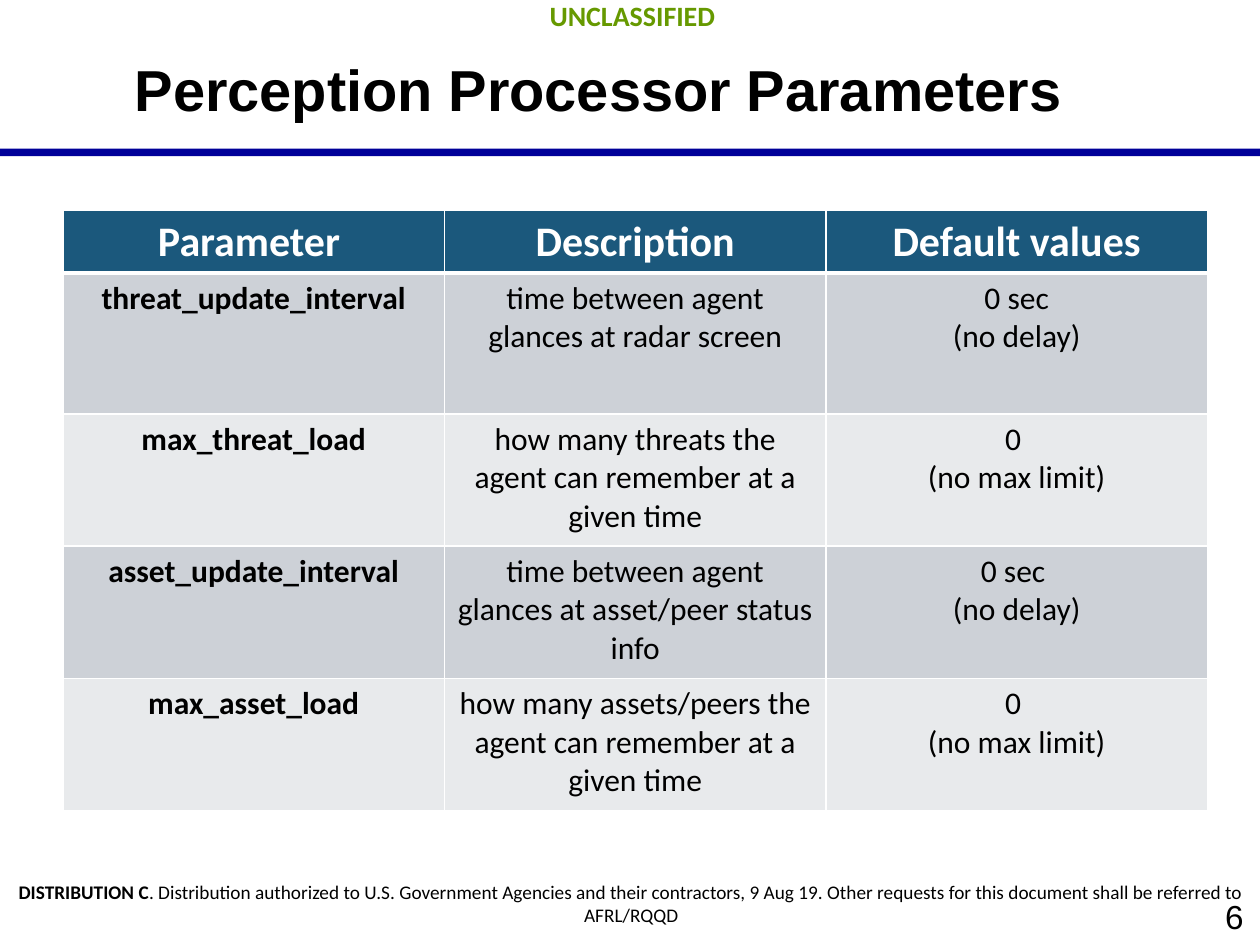
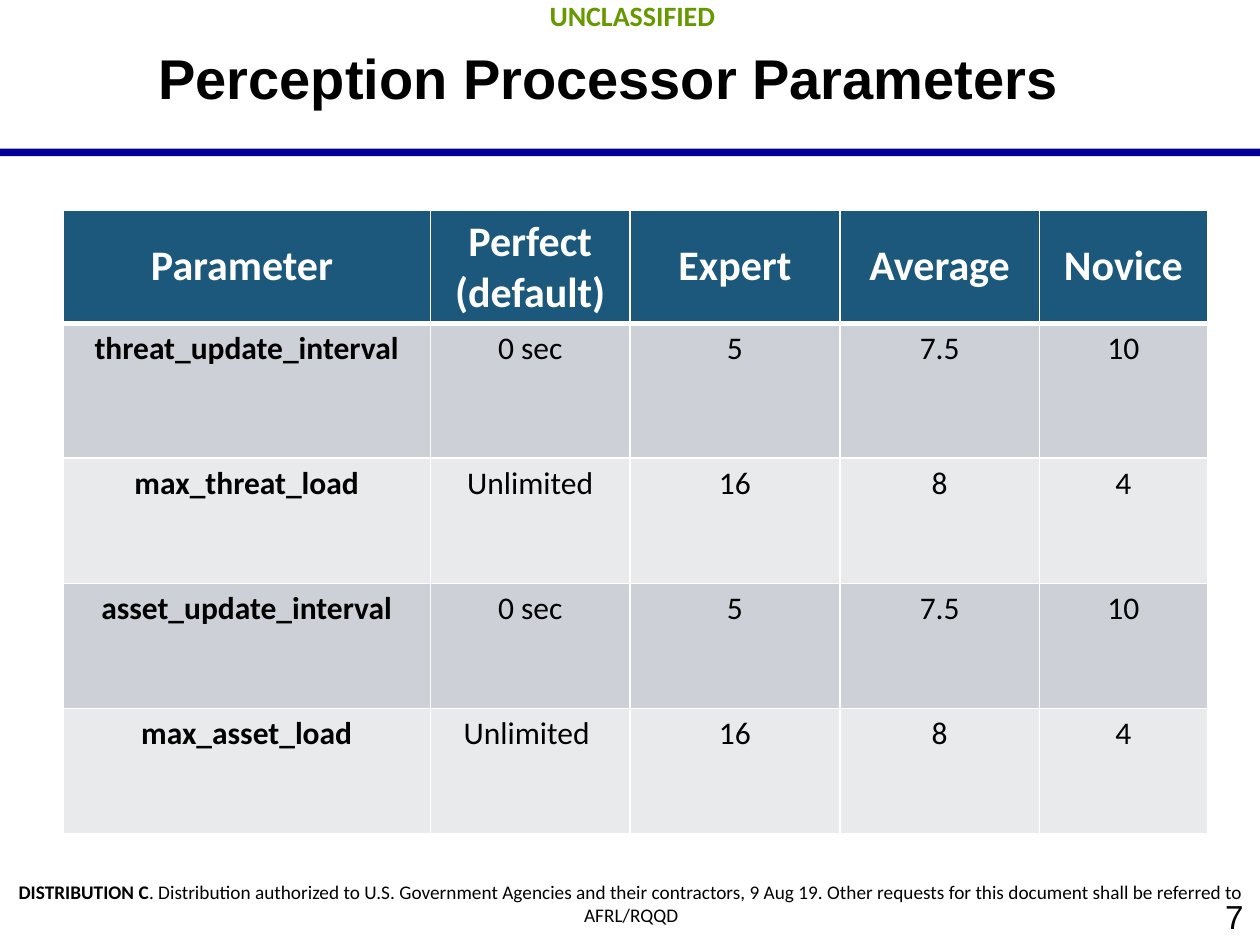
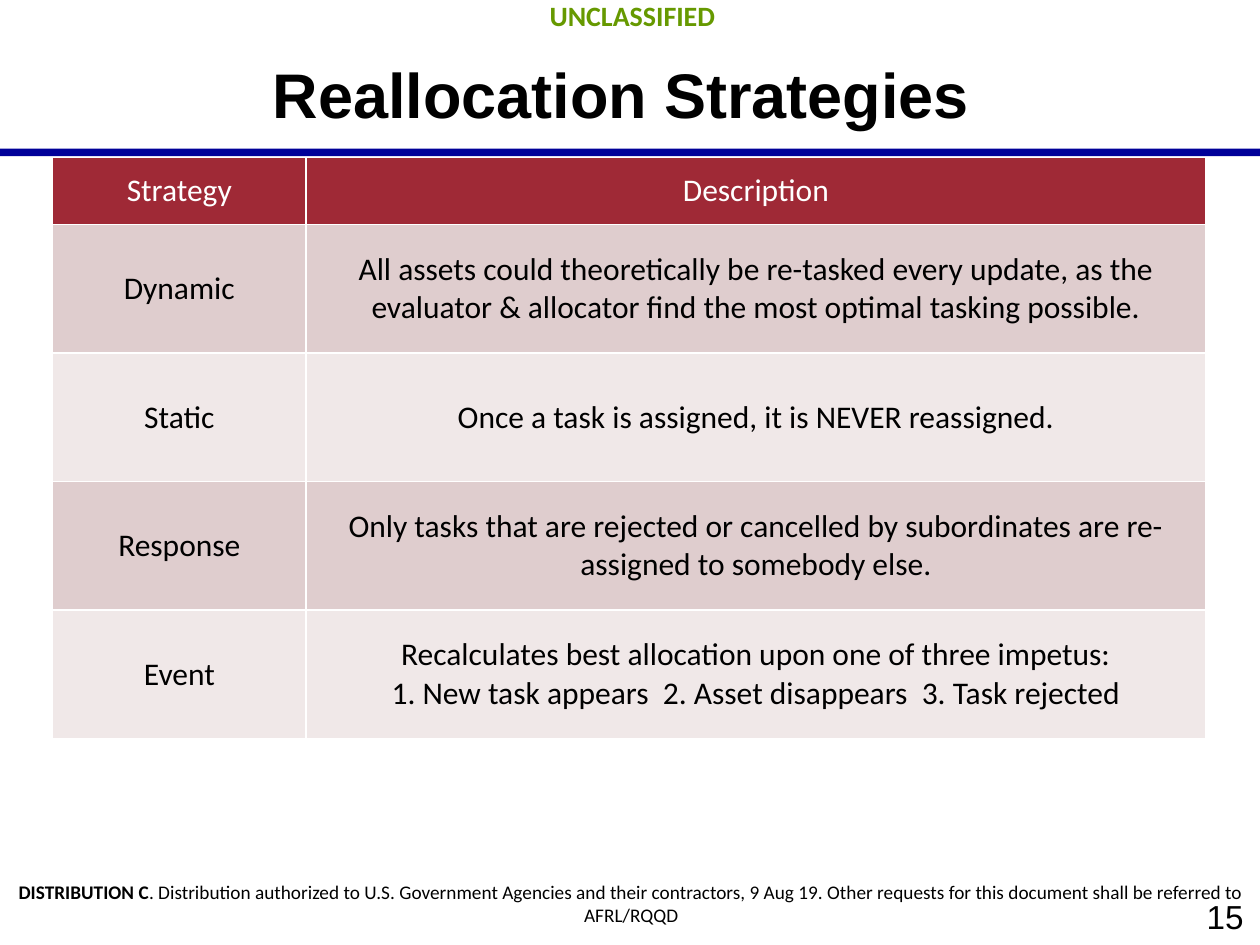
from lxml.etree import SubElement
from pptx import Presentation
from pptx.dml.color import RGBColor
from pptx.enum.shapes import MSO_SHAPE
from pptx.enum.text import MSO_ANCHOR, PP_ALIGN
from pptx.oxml.ns import qn
from pptx.util import Pt

WIDTH, HEIGHT = 720, 540
COLORS = {
    "text": "000000",
    "white": "FFFFFF",
    "bar": "000099",
    "marking": "669900",
    "blue": "1B587C",
    "blue_dark": "CDD1D7",
    "blue_light": "E8EAEC",
    "red": "9F2936",
    "red_dark": "DFCDCE",
    "red_light": "F0E8E8",
}
MARKING = "UNCLASSIFIED"
STATEMENT_LEAD = "DISTRIBUTION C"
STATEMENT = (
    ". Distribution authorized to U.S. Government Agencies and their contractors, "
    "9 Aug 19. Other requests for this document shall be referred to AFRL/RQQD"
)
PARAMETER_TITLE = "Perception Processor Parameters"
PARAMETER_BOX = (36, 120)
PARAMETER_STYLE = dict(theme="blue", header_size=24, bold_labels=True, body_anchor=MSO_ANCHOR.TOP)


def rgb(name):
    return RGBColor.from_string(COLORS[name])


def write_text(frame, text, lead="", font="Calibri", size=18, color="text",
               bold=False, align=PP_ALIGN.CENTER):
    """Write one paragraph per line; a lead goes first, in bold."""
    for index, line in enumerate(text.split("\n")):
        paragraph = frame.add_paragraph() if index else frame.paragraphs[0]
        paragraph.alignment = align
        parts = [(line, bold)]
        if lead and index == 0:
            parts.insert(0, (lead, True))
        for part, is_bold in parts:
            run = paragraph.add_run()
            run.text = part
            run.font.name = font
            run.font.size = Pt(size)
            run.font.bold = is_bold
            run.font.color.rgb = rgb(color)


def add_text(slide, box, text, anchor=MSO_ANCHOR.TOP, top_margin=5, **text_format):
    frame = slide.shapes.add_textbox(*map(Pt, box)).text_frame
    frame.word_wrap = True
    frame.vertical_anchor = anchor
    frame.margin_left = frame.margin_right = Pt(9.4)
    frame.margin_top, frame.margin_bottom = Pt(top_margin), Pt(5)
    write_text(frame, text, **text_format)


def add_bar(slide, box):
    bar = slide.shapes.add_shape(MSO_SHAPE.RECTANGLE, *map(Pt, box))
    bar.shadow.inherit = False
    bar.fill.solid()
    bar.fill.fore_color.rgb = rgb("bar")
    bar.line.fill.background()


def add_base_slide(presentation, number, title, title_box, title_size):
    """Add a slide with its markings, bar, number and title."""
    slide = presentation.slides.add_slide(presentation.slide_layouts[6])
    add_bar(slide, (0, 85, WIDTH, 4.3))
    add_text(slide, (576, 507.6, 144, 32.4), str(number), anchor=MSO_ANCHOR.MIDDLE,
             font="Arial", size=19, align=PP_ALIGN.RIGHT)
    add_text(slide, (1.4, -5.8, WIDTH, 29), MARKING, size=16, color="marking", bold=True)
    add_text(slide, (0, 498.2, 721.4, 36), STATEMENT, lead=STATEMENT_LEAD, size=11)
    add_text(slide, (*title_box, 648, 42.5), title, top_margin=7,
             font="Arial", size=title_size, bold=True)
    return slide


def set_borders(cell, top=1, bottom=1):
    properties = cell._tc.get_or_add_tcPr()
    for side, width in (("L", 1), ("R", 1), ("T", top), ("B", bottom)):
        line = SubElement(properties, qn(f"a:ln{side}"), w=str(Pt(width)))
        fill = SubElement(line, qn("a:solidFill"))
        SubElement(fill, qn("a:srgbClr"), val=COLORS["white"])


def add_banded_table(slide, position, widths, heights, rows, theme, header_size,
                     bold_labels, body_anchor, header_line=3):
    """Add a table with a header in the theme colour and alternating rows below."""
    table = slide.shapes.add_table(
        len(rows), len(widths), *map(Pt, (*position, sum(widths), sum(heights)))).table
    for column, width in zip(table.columns, widths):
        column.width = Pt(width)
    for row_index, (row, height, texts) in enumerate(zip(table.rows, heights, rows)):
        row.height = Pt(height)
        is_header = row_index == 0
        shade = theme if is_header else f"{theme}_{'dark' if row_index % 2 else 'light'}"
        for column_index, (cell, text) in enumerate(zip(row.cells, texts)):
            set_borders(cell, top=header_line if row_index == 1 else 1,
                        bottom=header_line if is_header else 1)
            cell.fill.solid()
            cell.fill.fore_color.rgb = rgb(shade)
            cell.vertical_anchor = MSO_ANCHOR.MIDDLE if is_header else body_anchor
            write_text(cell.text_frame, text,
                       size=header_size if is_header else 18,
                       color="white" if is_header else "text",
                       bold=bold_labels and (is_header or column_index == 0))


def add_defaults_slide(presentation):
    slide = add_base_slide(presentation, 6, PARAMETER_TITLE, (18, 23.8), 33)
    rows = [
        ("Parameter ", "Description", "Default values"),
        ("threat_update_interval", "time between agent glances at radar screen",
         "0 sec\n(no delay)"),
        ("max_threat_load", "how many threats the agent can remember at a given time",
         "0 \n(no max limit)"),
        ("asset_update_interval", "time between agent glances at asset/peer status info",
         "0 sec \n(no delay)"),
        ("max_asset_load", "how many assets/peers the agent can remember at a given time",
         "0 \n(no max limit)"),
    ]
    add_banded_table(slide, PARAMETER_BOX, [218] * 3, [32.4, 80.6] + [75.5] * 3, rows,
                     **PARAMETER_STYLE)


def add_skill_levels_slide(presentation):
    slide = add_base_slide(presentation, 7, PARAMETER_TITLE, (23.8, 18), 32)
    rows = [
        ("Parameter ", "Perfect\n(default)", "Expert", "Average", "Novice"),
        ("threat_update_interval", "0 sec", "5", "7.5", "10"),
        ("max_threat_load", "Unlimited", "16", "8", "4"),
        ("asset_update_interval", "0 sec", "5", "7.5", "10"),
        ("max_asset_load", "Unlimited ", "16", "8", "4"),
    ]
    add_banded_table(slide, PARAMETER_BOX, [210, 114, 120, 114, 96],
                     [62.6, 77] + [71.5] * 3, rows, **PARAMETER_STYLE)


def add_strategies_slide(presentation):
    slide = add_base_slide(presentation, 15, "Reallocation Strategies ", (36, 24.5), 36)
    rows = [
        ("Strategy", "Description"),
        ("Dynamic", "All assets could theoretically be re-tasked every update, as the "
                    "evaluator & allocator find the most optimal tasking possible."),
        ("Static", "Once a task is assigned, it is NEVER reassigned."),
        ("Response", "Only tasks that are rejected or cancelled by subordinates are "
                     "re-assigned to somebody else."),
        ("Event", "Recalculates best allocation upon one of three impetus:\n"
                  "1. New task appears  2. Asset disappears  3. Task rejected"),
    ]
    add_banded_table(slide, (30, 90), [145, 514], [38.2] + [73.5] * 4, rows,
                     theme="red", header_size=18, bold_labels=False,
                     body_anchor=MSO_ANCHOR.MIDDLE, header_line=1)


def main():
    presentation = Presentation()
    presentation.slide_width, presentation.slide_height = Pt(WIDTH), Pt(HEIGHT)
    add_defaults_slide(presentation)
    add_skill_levels_slide(presentation)
    add_strategies_slide(presentation)
    presentation.save("out.pptx")


if __name__ == "__main__":
    main()
